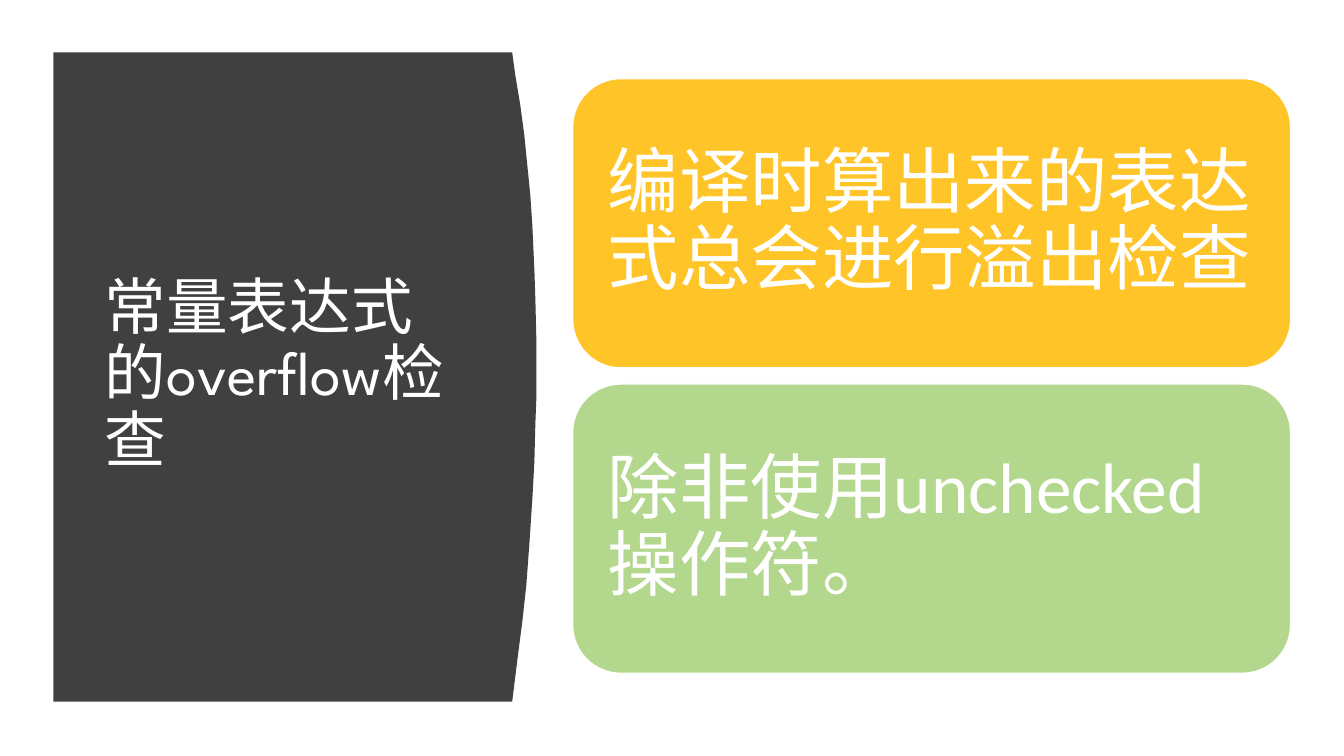
import pptx
import pptx.util
import pptx.dml.color
import pptx.enum.shapes
import pptx.enum.text

PX = 9144  # EMU per px, 100 px to the inch
COLORS = {"panel": "404040", "amber": "FFC427", "green": "B4D78E", "white": "FFFFFF"}

# Curved right side of the panel: (px left of its widest point, px below its top)
CURVE = [(24, 0), (21, 22), (16, 52), (12, 82), (9, 112), (6, 142), (4, 172),
         (2, 216), (1, 245), (0, 287), (0, 342), (1, 368), (2, 406), (4, 443),
         (7, 488), (10, 529), (14, 565), (18, 596), (21, 620), (24, 644)]


def px(length):
    return pptx.util.Emu(length * PX)


def rgb(name):
    return pptx.dml.color.RGBColor.from_string(COLORS[name])


def write_text(shape, text, size, font, margins):
    frame = shape.text_frame
    frame.word_wrap = True
    frame.vertical_anchor = pptx.enum.text.MSO_ANCHOR.MIDDLE
    frame.margin_left = frame.margin_right = px(margins[0])
    frame.margin_top = frame.margin_bottom = px(margins[1])
    para = frame.paragraphs[0]
    para.alignment = pptx.enum.text.PP_ALIGN.LEFT
    para.line_spacing = 0.9
    span = para.add_run()
    span.text = text
    span.font.size = pptx.util.Pt(size)
    span.font.name = font
    span.font.color.rgb = rgb("white")


def add_title_panel(page, left, top, width, text):
    # Dark panel with a bulging right side
    height = CURVE[-1][1]
    builder = page.shapes.build_freeform(left, top, scale=PX)
    edge = [(left + width - inward, top + down) for inward, down in CURVE]
    builder.add_line_segments(edge + [(left, top + height)], close=True)
    panel = builder.convert_to_shape()
    panel.shadow.inherit = False
    panel.fill.solid()
    panel.fill.fore_color.rgb = rgb("panel")
    panel.line.fill.background()
    # Title, vertically centred over the panel
    box = page.shapes.add_textbox(px(left + 41), px(top + 59), px(374), px(524))
    write_text(box, text, 44, "League Spartan", (10, 5))


def add_cards(page, left, top, width, height, gap, cards):
    # Rounded cards stacked at equal gaps; the corners add to the text margins
    for index, (color, text) in enumerate(cards):
        card = page.shapes.add_shape(
            pptx.enum.shapes.MSO_SHAPE.ROUNDED_RECTANGLE,
            px(left), px(top + index * (height + gap)), px(width), px(height))
        card.shadow.inherit = False
        card.fill.solid()
        card.fill.fore_color.rgb = rgb(color)
        card.line.color.rgb = rgb("white")
        card.line.width = pptx.util.Pt(1)
        write_text(card, text, 51, "Calibri", (21, 21))


def main():
    deck = pptx.Presentation()
    deck.slide_width, deck.slide_height = px(1333), px(750)
    page = deck.slides.add_slide(deck.slide_layouts[6])
    add_title_panel(page, 53, 52, 479, "常量表达式的overflow检查")
    add_cards(page, 568, 78, 712, 287, 16, [
        ("amber", "编译时算出来的表达式总会进行溢出检查"),
        ("green", "除非使用unchecked操作符。"),
    ])
    deck.save("out.pptx")


if __name__ == "__main__":
    main()
